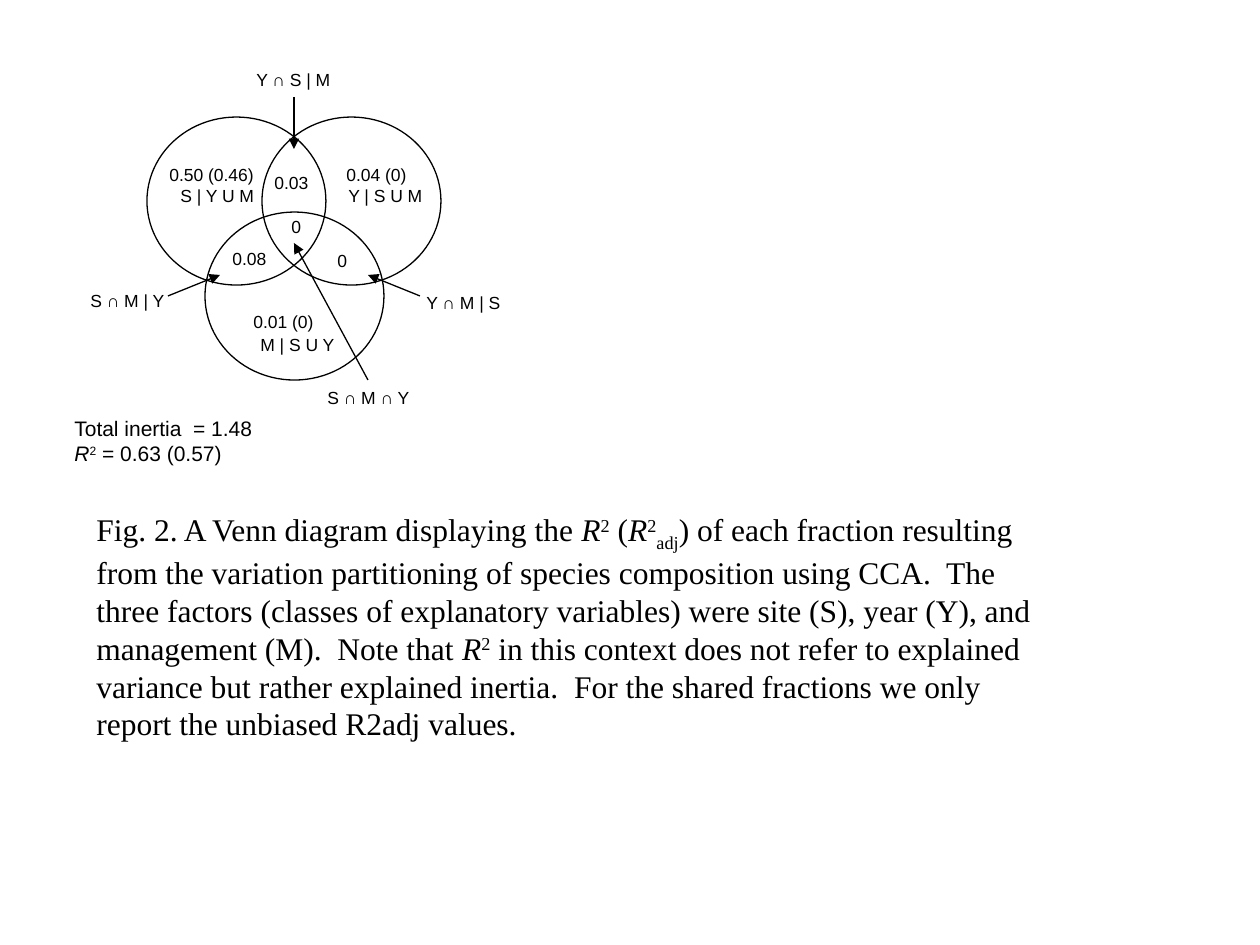
from lxml import etree
from pptx import Presentation
from pptx import util as u
from pptx.dml.color import RGBColor
from pptx.enum import shapes, text
from pptx.oxml import ns

PX = u.Inches(1) / 126
COLORS = {"ink": "000000", "paper": "FFFFFF"}
INK = RGBColor.from_string(COLORS["ink"])


def px(*lengths):
    return [round(length * PX) for length in lengths]


def add_text(paragraphs, frame, size=10, font="Arial", wrap=False, before=0):
    """Each paragraph is a list of (words, style); style is "", "i", "sup" or "sub"."""
    box = slide.shapes.add_textbox(*px(*frame))
    body = box.text_frame
    body.word_wrap = wrap
    body.auto_size = text.MSO_AUTO_SIZE.SHAPE_TO_FIT_TEXT
    for index, spans in enumerate(paragraphs):
        para = body.add_paragraph() if index else body.paragraphs[0]
        para.space_before = u.Pt(before)
        for words, style in spans:
            span = para.add_run()
            span.text = words
            span.font.size = u.Pt(size)
            span.font.name = font
            span.font.color.rgb = INK
            span.font.italic = style == "i"
            if style in ("sup", "sub"):
                shift = "30000" if style == "sup" else "-25000"
                span.font._element.set("baseline", shift)


deck = Presentation()
deck.slide_width, deck.slide_height = px(1260, 945)
slide = deck.slides.add_slide(deck.slide_layouts[6])
slide.background.fill.solid()
slide.background.fill.fore_color.rgb = RGBColor.from_string(COLORS["paper"])

# Venn circles: year, management, site
for left, top in [(262, 117), (205, 212), (147, 117)]:
    circle = slide.shapes.add_shape(shapes.MSO_SHAPE.OVAL, *px(left, top, 179, 168))
    circle.shadow.inherit = False
    circle.fill.background()
    circle.line.color.rgb = INK
    circle.line.width = u.Pt(0.75)

# Fraction names and values
labels = [
    ("S | Y U M", 168, 179, 102),
    ("M | S U Y", 248, 328, 102),
    ("Y | S U M", 336, 179, 102),
    ("0.01 (0)", 241, 305, 88),
    ("0.50 (0.46)", 157, 158, 112),
    ("0.04 (0)", 334, 158, 88),
    ("S ∩ M | Y", 78, 284, 102),
    ("Y ∩ M | S", 414, 286, 102),
    ("Y ∩ S | M", 244, 63, 102),
    ("S ∩ M ∩ Y", 315, 381, 109),
    ("0", 325, 244, 36),
    ("0.03", 262, 166, 61),
    ("0.08", 220, 242, 61),
    ("0", 279, 210, 36),
]
for words, left, top, width in labels:
    add_text([[(words, "")]], (left, top, width, 34))

# Arrows from the outer names to the overlaps
for ends in [(294, 97, 294, 149), (168, 296, 220, 275),
             (420, 296, 368, 275), (368, 380, 294, 243)]:
    arrow = slide.shapes.add_connector(shapes.MSO_CONNECTOR.STRAIGHT, *px(*ends))
    arrow.line.color.rgb = INK
    arrow.line.width = u.Pt(0.75)
    etree.SubElement(arrow.line._get_or_add_ln(), ns.qn("a:tailEnd"), type="triangle")
    etree.SubElement(arrow._element.spPr, ns.qn("a:effectLst"))

# Totals
add_text([[("Total inertia  = 1.48", "")],
          [("R", "i"), ("2", "sup"), (" = 0.63 (0.57)", "")]],
         (62, 409, 207, 63), size=12)

# Caption
caption = [
    ("Fig. 2. A Venn diagram displaying the ", ""), ("R", "i"), ("2", "sup"),
    (" (", ""), ("R", "i"), ("2", "sup"), ("adj", "sub"),
    (") of each fraction resulting from the variation partitioning of species "
     "composition using CCA.  The three factors (classes of explanatory variables) "
     "were site (S), year (Y), and management (M).  Note that ", ""),
    ("R", "i"), ("2", "sup"),
    (" in this context does not refer to explained variance but rather explained "
     "inertia.  For the shared fractions we only report the unbiased R2adj values.", ""),
]
add_text([caption], (84, 504, 977, 244), size=18, font="Times New Roman",
         wrap=True, before=6.8)

deck.save("out.pptx")
